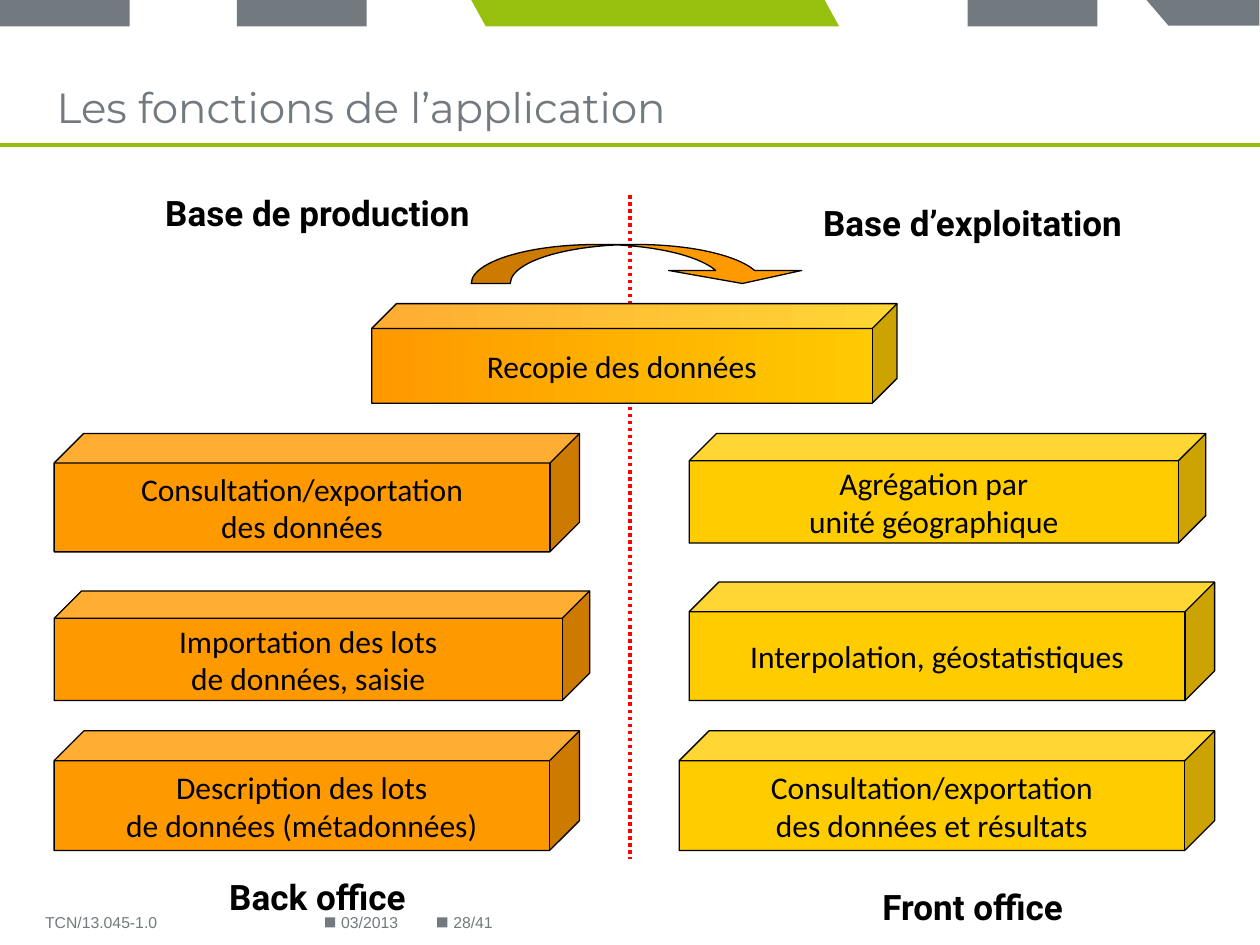
from dataclasses import dataclass

from lxml.etree import SubElement
from pptx import Presentation
from pptx.dml.color import RGBColor
from pptx.enum.dml import MSO_LINE
from pptx.enum.shapes import MSO_CONNECTOR, MSO_SHAPE
from pptx.enum.text import MSO_ANCHOR, PP_ALIGN
from pptx.oxml.ns import qn
from pptx.util import Pt

EMU_PER_PX = 9144


@dataclass(frozen=True)
class Theme:
    gray: RGBColor = RGBColor(0x72, 0x79, 0x7F)
    green: RGBColor = RGBColor(0x97, 0xBF, 0x0D)
    orange: RGBColor = RGBColor(0xFF, 0x99, 0x00)
    yellow: RGBColor = RGBColor(0xFF, 0xCC, 0x00)
    red: RGBColor = RGBColor(0xFF, 0x00, 0x00)
    black: RGBColor = RGBColor(0x00, 0x00, 0x00)
    title_font: str = "Montserrat"
    heading_font: str = "Roboto"
    body_font: str = "Calibri"
    footer_font: str = "Arial"
    title_size: int = 24
    heading_size: int = 20
    body_size: int = 18
    footer_size: int = 9


THEME = Theme()
TITLE = {"name": THEME.title_font, "size": Pt(THEME.title_size), "bold": False}
HEADING = {"name": THEME.heading_font, "size": Pt(THEME.heading_size), "bold": True}
BODY = {"name": THEME.body_font, "size": Pt(THEME.body_size), "bold": False}
FOOTER = {"name": THEME.footer_font, "size": Pt(THEME.footer_size), "bold": False}


def px(*lengths):
    return [length * EMU_PER_PX for length in lengths]


def set_values(target, values):
    for name, value in values.items():
        setattr(target, name, value)


def write_text(shape, lines, font, color, alignment, wrap=True, anchor=MSO_ANCHOR.MIDDLE):
    frame = shape.text_frame
    set_values(frame, {"text": "\n".join(lines), "word_wrap": wrap, "vertical_anchor": anchor})
    for paragraph in frame.paragraphs:
        paragraph.alignment = alignment
        for run in paragraph.runs:
            set_values(run.font, font)
            run.font.color.rgb = color


def add_filled(slide, kind, box, color, outlined=False):
    shape = slide.shapes.add_shape(kind, *px(*box))
    shape.shadow.inherit = False
    shape.fill.solid()
    shape.fill.fore_color.rgb = color
    if outlined:
        shape.line.color.rgb = THEME.black
        shape.line.width = Pt(0.75)
    else:
        shape.line.fill.background()
    return shape


def add_rule(slide, start, end, color, width, dash=None):
    rule = slide.shapes.add_connector(MSO_CONNECTOR.STRAIGHT, *px(*start, *end))
    set_values(rule.line, {"width": Pt(width), "dash_style": dash})
    rule.line.color.rgb = color
    SubElement(rule._element.spPr, qn("a:effectLst"))


def flip(shape, *axes):
    transform = shape._element.spPr.find(qn("a:xfrm"))
    for axis in axes:
        transform.set(axis, "1")


def add_label(slide, box, text, font, color, alignment, anchor):
    label = slide.shapes.add_textbox(*px(*box))
    write_text(label, [text], font, color, alignment, anchor=anchor)


def add_cube(slide, box, lines, color):
    cube = add_filled(slide, MSO_SHAPE.CUBE, box, color, outlined=True)
    write_text(cube, lines, BODY, THEME.black, PP_ALIGN.CENTER, wrap=False)
    return cube


def build_banner(slide, box):
    left, top, width, height = box
    for offset in (0, 188, 768):
        add_filled(slide, MSO_SHAPE.RECTANGLE, (left + offset, top, 103, height), THEME.gray)
    accent = add_filled(
        slide, MSO_SHAPE.PARALLELOGRAM, (left + 374, top, 292, height), THEME.green)
    accent.adjustments[0] = 0.55
    flip(accent, "flipH")
    corner = add_filled(
        slide, MSO_SHAPE.FLOWCHART_MANUAL_INPUT,
        (left + width - 56, top - 35, height, 90), THEME.gray)
    corner.rotation = 90
    flip(corner, "flipH", "flipV")


def build_title(slide, box):
    left, top, width, height = box
    title = slide.shapes.title
    set_values(title, dict(zip(("left", "top", "width", "height"), px(left + 35, top, 915, height))))
    write_text(title, ["Les fonctions de l’application"], TITLE, THEME.gray, PP_ALIGN.LEFT)
    bottom = top + height
    add_rule(slide, (left, bottom), (left + width, bottom), THEME.green, 2.25)


def build_column(slide, box, heading, office, cubes, color):
    left, top, width, height = box
    for offset, text in ((0, heading), (height - 43, office)):
        add_label(slide, (left, top + offset, width, 43), text, HEADING,
                  THEME.black, PP_ALIGN.CENTER, MSO_ANCHOR.TOP)
    for (x, y, cube_width, cube_height), lines in cubes:
        add_cube(slide, (left + x, top + y, cube_width, cube_height), lines, color)


def build_copy_step(slide, box):
    left, top, width, height = box
    cube = add_cube(
        slide, (left, top + 47, width, height - 47), ["Recopie des données"], THEME.orange)
    cube.fill.gradient()
    cube.fill.gradient_angle = 0
    for stop, position, color in zip(
            cube.fill.gradient_stops, (0, 1), (THEME.orange, THEME.yellow)):
        stop.position = position
        stop.color.rgb = color
    arrow = add_filled(slide, MSO_SHAPE.CURVED_DOWN_ARROW,
                       (left + 79, top, 268, 31), THEME.orange, outlined=True)
    for index, value in enumerate((1.705, 3.41, 0.333)):
        arrow.adjustments[index] = value


def build_footer(slide, box):
    left, top, width, height = box
    for offset in (232, 321):
        add_filled(slide, MSO_SHAPE.RECTANGLE, (left + offset, top + 16, 8, 8), THEME.gray)
    for offset, label_width, text in (
            (0, 317, "TCN/13.045-1.0"), (235, 123, "03/2013"), (324, width - 324, "28/41")):
        add_label(slide, (left + offset, top, label_width, height), text, FOOTER,
                  THEME.gray, PP_ALIGN.LEFT, MSO_ANCHOR.MIDDLE)


def main():
    presentation = Presentation()
    presentation.slide_width, presentation.slide_height = px(1000, 750)
    slide = presentation.slides.add_slide(presentation.slide_layouts[5])
    build_banner(slide, (0, 0, 1000, 21))
    build_title(slide, (0, 54, 1000, 61))
    add_rule(slide, (500, 155), (500, 682), THEME.red, 2, MSO_LINE.ROUND_DOT)
    build_column(slide, (67, 147, 370, 586), "Base de production", "Back office", [
        ((-24, 433, 417, 95), ["Description des lots", "de données (métadonnées)"]),
        ((-24, 322, 425, 87), ["Importation des lots", "de données, saisie"]),
        ((-24, 197, 417, 94), ["Consultation/exportation", "des données"]),
    ], THEME.orange)
    build_column(slide, (587, 155, 370, 586), "Base d’exploitation", "Front office", [
        ((-48, 425, 425, 95), ["Consultation/exportation", "des données et résultats"]),
        ((-40, 189, 410, 87), ["Agrégation par", "unité géographique"]),
        ((-40, 307, 417, 94), ["Interpolation, géostatistiques"]),
    ], THEME.yellow)
    build_copy_step(slide, (295, 194, 417, 126))
    build_footer(slide, (26, 712, 557, 40))
    presentation.save("out.pptx")


if __name__ == "__main__":
    main()
